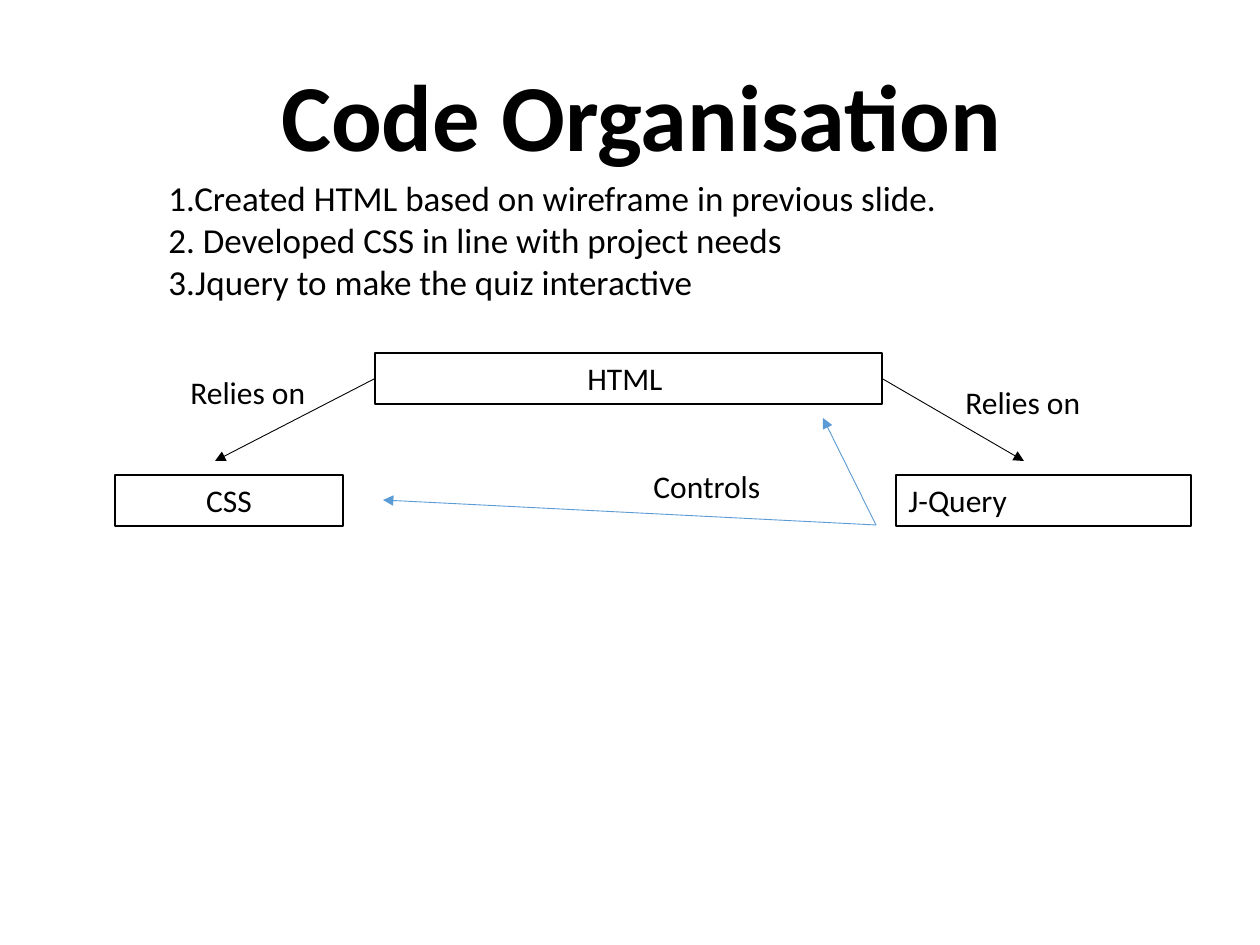
import lxml.etree
import pptx
import pptx.dml.color
import pptx.enum.shapes
import pptx.enum.text
import pptx.oxml.ns
import pptx.util

EMU_PER_PX = 914400 / 126
BLACK = pptx.dml.color.RGBColor(0x00, 0x00, 0x00)
BLUE = pptx.dml.color.RGBColor(0x5B, 0x9B, 0xD5)
LEFT = pptx.enum.text.PP_ALIGN.LEFT
CENTER = pptx.enum.text.PP_ALIGN.CENTER
TOP = pptx.enum.text.MSO_ANCHOR.TOP
BOTTOM = pptx.enum.text.MSO_ANCHOR.BOTTOM
LEFT_SIDE, RIGHT_SIDE = 1, 3
ROW_HEIGHT = 51


def px(*lengths):
    return [pptx.util.Emu(round(length * EMU_PER_PX)) for length in lengths]


def write_text(shape, text, font="Calibri", size=18, color=BLACK, bold=False,
               align=LEFT, anchor=TOP, line_spacing=None):
    """Fill a shape with text, one paragraph for each line."""
    frame = shape.text_frame
    frame.word_wrap = True
    frame.vertical_anchor = anchor
    frame.text = text
    for paragraph in frame.paragraphs:
        paragraph.alignment = align
        paragraph.line_spacing = line_spacing
        for run in paragraph.runs:
            run.font.name = font
            run.font.size = pptx.util.Pt(size)
            run.font.bold = bold
            run.font.color.rgb = color


class SlideBuilder:
    box_line_width = pptx.util.Pt(0.75)
    arrow_line_width = pptx.util.Pt(0.5)

    def __init__(self, slide):
        self.slide = slide

    def label(self, text, left, top, width, height=ROW_HEIGHT, **text_format):
        shape = self.slide.shapes.add_textbox(*px(left, top, width, height))
        write_text(shape, text, **text_format)

    def box(self, text, left, top, width, **text_format):
        shape = self.slide.shapes.add_shape(
            pptx.enum.shapes.MSO_SHAPE.RECTANGLE,
            *px(left, top, width, ROW_HEIGHT))
        shape.shadow.inherit = False
        shape.fill.background()
        shape.line.color.rgb = BLACK
        shape.line.width = self.box_line_width
        write_text(shape, text, **text_format)
        return shape

    def arrow(self, start, end, color=BLACK, from_box=None, side=None):
        connector = self.slide.shapes.add_connector(
            pptx.enum.shapes.MSO_CONNECTOR.STRAIGHT, *px(*start, *end))
        if from_box is not None:
            connector.begin_connect(from_box, side)
        connector.line.color.rgb = color
        connector.line.width = self.arrow_line_width
        qn = pptx.oxml.ns.qn
        properties = connector.element.spPr
        lxml.etree.SubElement(properties.find(qn("a:ln")), qn("a:tailEnd"),
                              type="triangle")
        lxml.etree.SubElement(properties, qn("a:effectLst"))


def main():
    presentation = pptx.Presentation()
    presentation.slide_width, presentation.slide_height = px(1260, 945)
    builder = SlideBuilder(
        presentation.slides.add_slide(presentation.slide_layouts[6]))

    builder.label("Code Organisation", 106, 53, 1071, 125, size=54, bold=True,
                  align=CENTER, anchor=BOTTOM, line_spacing=0.9)
    builder.label("1.Created HTML based on wireframe in previous slide.\n"
                  "2. Developed CSS in line with project needs\n"
                  "3.Jquery to make the quiz interactive",
                  156, 170, 1021, 178, size=20)

    html_box = builder.box("HTML ", 375, 353, 507, align=CENTER)
    builder.box("CSS", 115, 475, 228, align=CENTER)
    builder.box("J-Query", 896, 475, 295)

    builder.arrow((375, 378), (215, 461), from_box=html_box, side=LEFT_SIDE)
    builder.arrow((882, 378), (1024, 461), from_box=html_box, side=RIGHT_SIDE)
    for controlled in ((823, 418), (383, 500)):
        builder.arrow((876, 525), controlled, color=BLUE)

    builder.label("Controls", 641, 461, 142)
    for left, top in ((178, 367), (953, 377)):
        builder.label("Relies on", left, top, 166)

    presentation.save("out.pptx")


if __name__ == "__main__":
    main()
